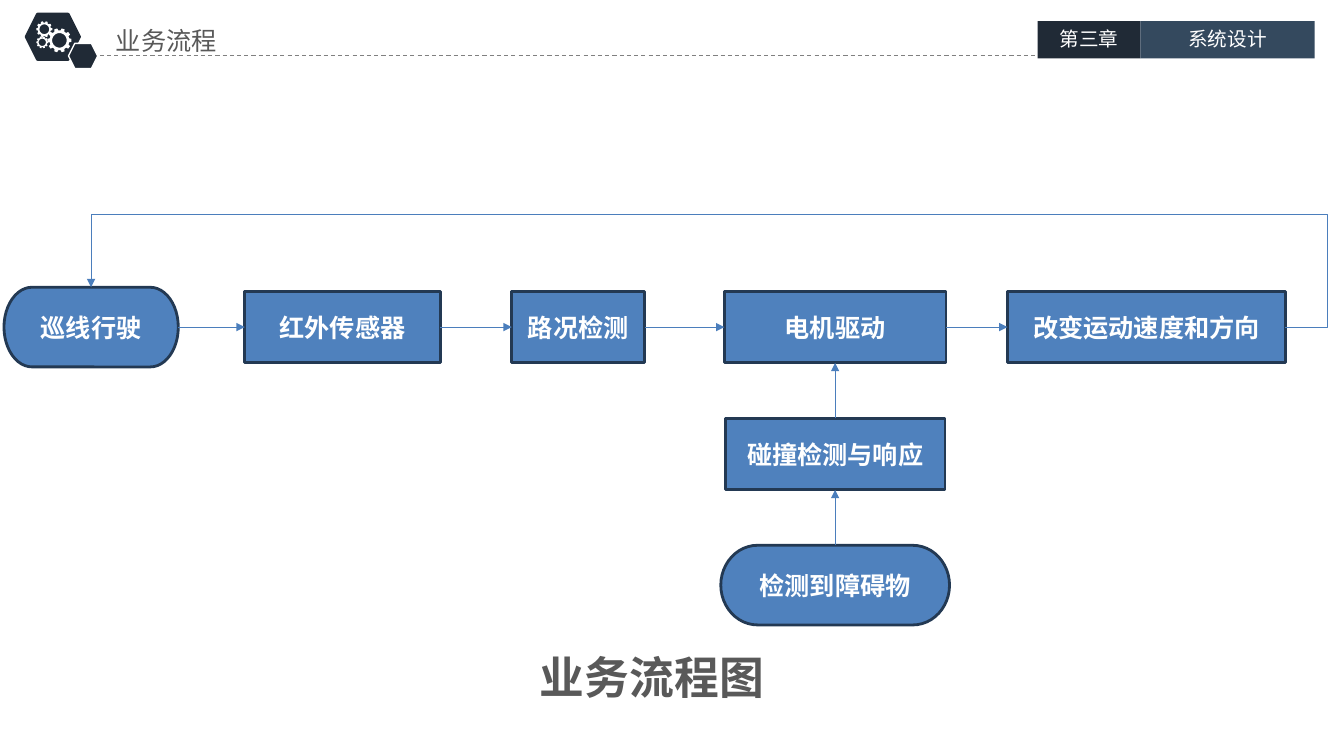
from math import cos, pi, sin

from lxml.etree import SubElement
from pptx import Presentation
from pptx.dml.color import RGBColor
from pptx.enum.dml import MSO_LINE
from pptx.enum.shapes import MSO_CONNECTOR, MSO_SHAPE
from pptx.enum.text import MSO_ANCHOR, MSO_AUTO_SIZE, PP_ALIGN
from pptx.oxml.ns import qn
from pptx.util import Inches, Pt

FONT = "Noto Sans CJK SC"
NAVY, SLATE, WHITE, GRAY = "202A36", "34495E", "FFFFFF", "595959"
BLUE, EDGE, ARROW, DASH = "4F81BD", "233953", "4B7EBC", "808080"
TOP, LEFT, BOTTOM, RIGHT = range(4)
STEP, TERMINAL = MSO_SHAPE.RECTANGLE, MSO_SHAPE.FLOWCHART_TERMINATOR


def color(value):
    """Turn a hex string into a colour."""
    return RGBColor.from_string(value)


def write(frame, text, size, ink, bold=False, align=PP_ALIGN.LEFT):
    """Put one formatted line of text into a text frame."""
    para = frame.paragraphs[0]
    para.alignment = align
    span = para.add_run()
    span.text = text
    for name, value in {"name": FONT, "size": Pt(size), "bold": bold}.items():
        setattr(span.font, name, value)
    span.font.color.rgb = color(ink)
    SubElement(span.font._element, qn("a:ea"), typeface=FONT)


def add_label(page, box, text, size, ink, **style):
    """Add a text box with narrow margins."""
    frame = page.shapes.add_textbox(*map(Inches, box)).text_frame
    settings = {
        "word_wrap": True, "auto_size": MSO_AUTO_SIZE.SHAPE_TO_FIT_TEXT,
        "margin_left": Inches(0.07), "margin_right": Inches(0.07),
        "margin_top": Inches(0.04), "margin_bottom": Inches(0.04),
    }
    for name, value in settings.items():
        setattr(frame, name, value)
    write(frame, text, size, ink, **style)


def paint(shape, fill, edge=None, width=0):
    """Give a shape a flat fill and an optional outline."""
    shape.shadow.inherit = False
    shape.fill.solid()
    shape.fill.fore_color.rgb = color(fill)
    if edge:
        shape.line.color.rgb = color(edge)
        shape.line.width = Pt(width)
    else:
        shape.line.fill.background()


def add_block(page, kind, box, fill, edge=None, width=0):
    """Add a painted preset shape."""
    shape = page.shapes.add_shape(kind, *map(Inches, box))
    paint(shape, fill, edge, width)
    return shape


def add_line(page, start, end, ink, kind=MSO_CONNECTOR.STRAIGHT):
    """Add a thin connector without shadow."""
    line = page.shapes.add_connector(kind, *map(Inches, (*start, *end)))
    line.line.color.rgb = color(ink)
    line.line.width = Pt(0.75)
    SubElement(line._element.spPr, qn("a:effectLst"))
    return line


def add_gear(page, center, radius, teeth=10):
    """Draw a toothed ring around a centre point."""
    def point(share, angle):
        return (Inches(center[0] + radius * share * cos(angle)),
                Inches(center[1] + radius * share * sin(angle)))

    pitch = 2 * pi / teeth
    profile = [(0.82, -0.32), (1, -0.2), (1, 0.2), (0.82, 0.32)]
    rim = [point(share, (tooth + turn) * pitch)
           for tooth in range(teeth) for share, turn in profile]
    hole = [point(0.6, -step * pi / 20) for step in range(40)]
    builder = page.shapes.build_freeform(*rim[0], scale=1.0)
    builder.add_line_segments(rim[1:])
    builder.move_to(*hole[0])
    builder.add_line_segments(hole[1:])
    paint(builder.convert_to_shape(), WHITE)


def add_emblem(page, left, top):
    """Draw the hexagon emblem with three gears."""
    hexagon = MSO_SHAPE.HEXAGON
    add_block(page, hexagon, (left, top, 0.53, 0.45), NAVY, NAVY, 2)
    add_block(page, hexagon, (left + 0.42, top + 0.29, 0.29, 0.25), NAVY, WHITE, 1)
    for x, y, radius in [(0.33, 0.26, 0.12), (0.18, 0.15, 0.08), (0.16, 0.28, 0.06)]:
        add_gear(page, (left + x, top + y), radius)


def add_header(page, left, top, width):
    """Build the header band: emblem, title, dashed rule and chapter tabs."""
    tabs = [("第三章", 1.02, NAVY), ("系统设计", 1.73, SLATE)]
    tab_left = left + width - sum(tab[1] for tab in tabs)
    rule = add_line(page, (left + 0.66, top + 0.41), (tab_left, top + 0.41), DASH)
    rule.line.dash_style = MSO_LINE.DASH
    add_emblem(page, left, top)
    add_label(page, (left + 0.82, top + 0.07, 2.05, 0.38), "业务流程", 18, GRAY)
    for text, tab_width, fill in tabs:
        add_block(page, MSO_SHAPE.RECTANGLE, (tab_left, top + 0.07, tab_width, 0.37), fill)
        add_label(page, (tab_left, top + 0.09, tab_width, 0.31), text, 14, WHITE,
                  align=PP_ALIGN.CENTER)
        tab_left += tab_width


def add_node(page, kind, text, center_x, center_y, width):
    """Add a flow step centred on a point."""
    height = 0.79 if kind == TERMINAL else 0.71
    box = (center_x - width / 2, center_y - height / 2, width, height)
    node = add_block(page, kind, box, BLUE, EDGE, 2)
    node.text_frame.word_wrap = True
    node.text_frame.vertical_anchor = MSO_ANCHOR.MIDDLE
    write(node.text_frame, text, 18, WHITE, True, PP_ALIGN.CENTER)
    return node


def link(page, source, source_side, target, target_side, kind=MSO_CONNECTOR.STRAIGHT):
    """Join two steps with an arrow."""
    arrow = add_line(page, (0, 0), (1, 1), ARROW, kind)
    arrow.begin_connect(source, source_side)
    arrow.end_connect(target, target_side)
    SubElement(arrow.line._get_or_add_ln(), qn("a:tailEnd"), type="triangle")
    return arrow


def add_return(page, source, target):
    """Loop an arrow from the last step over the row to the first."""
    arrow = link(page, source, RIGHT, target, TOP, MSO_CONNECTOR.ELBOW)
    shape = arrow._element.spPr.find(qn("a:prstGeom"))
    shape.set("prst", "bentConnector4")
    guides = shape.find(qn("a:avLst"))
    if guides is None:
        guides = SubElement(shape, qn("a:avLst"))
    for name, value in {"adj1": -3500, "adj2": 283700}.items():
        SubElement(guides, qn("a:gd"), name=name, fmla=f"val {value}")


def add_flow(page, left, middle):
    """Build the main row, the obstacle branch and their arrows."""
    row = [
        (TERMINAL, "巡线行驶", 0, 1.73), (STEP, "红外传感器", 2.39, 1.94),
        (STEP, "路况检测", 5.04, 1.32), (STEP, "电机驱动", 7.15, 2.2),
        (STEP, "改变运动速度和方向", 9.96, 2.76),
    ]
    nodes = [add_node(page, kind, text, left + x + width / 2, middle, width)
             for kind, text, x, width in row]
    for source, target in zip(nodes, nodes[1:]):
        link(page, source, RIGHT, target, LEFT)
    add_return(page, nodes[-1], nodes[0])
    branch = [(STEP, "碰撞检测与响应", 1.26, 2.18), (TERMINAL, "检测到障碍物", 2.56, 2.27)]
    upper = nodes[3]
    for kind, text, drop, width in branch:
        lower = add_node(page, kind, text, left + 8.25, middle + drop, width)
        link(page, lower, TOP, upper, BOTTOM)
        upper = lower


def main():
    """Create the slide and save it."""
    deck = Presentation()
    deck.slide_width, deck.slide_height = Inches(13.34), Inches(7.5)
    page = deck.slides.add_slide(deck.slide_layouts[6])
    add_header(page, 0.26, 0.14, 12.79)
    add_flow(page, 0.04, 3.245)
    add_label(page, (5.29, 6.41, 2.76, 0.61), "业务流程图", 32, GRAY, bold=True)
    deck.save("out.pptx")


if __name__ == "__main__":
    main()
